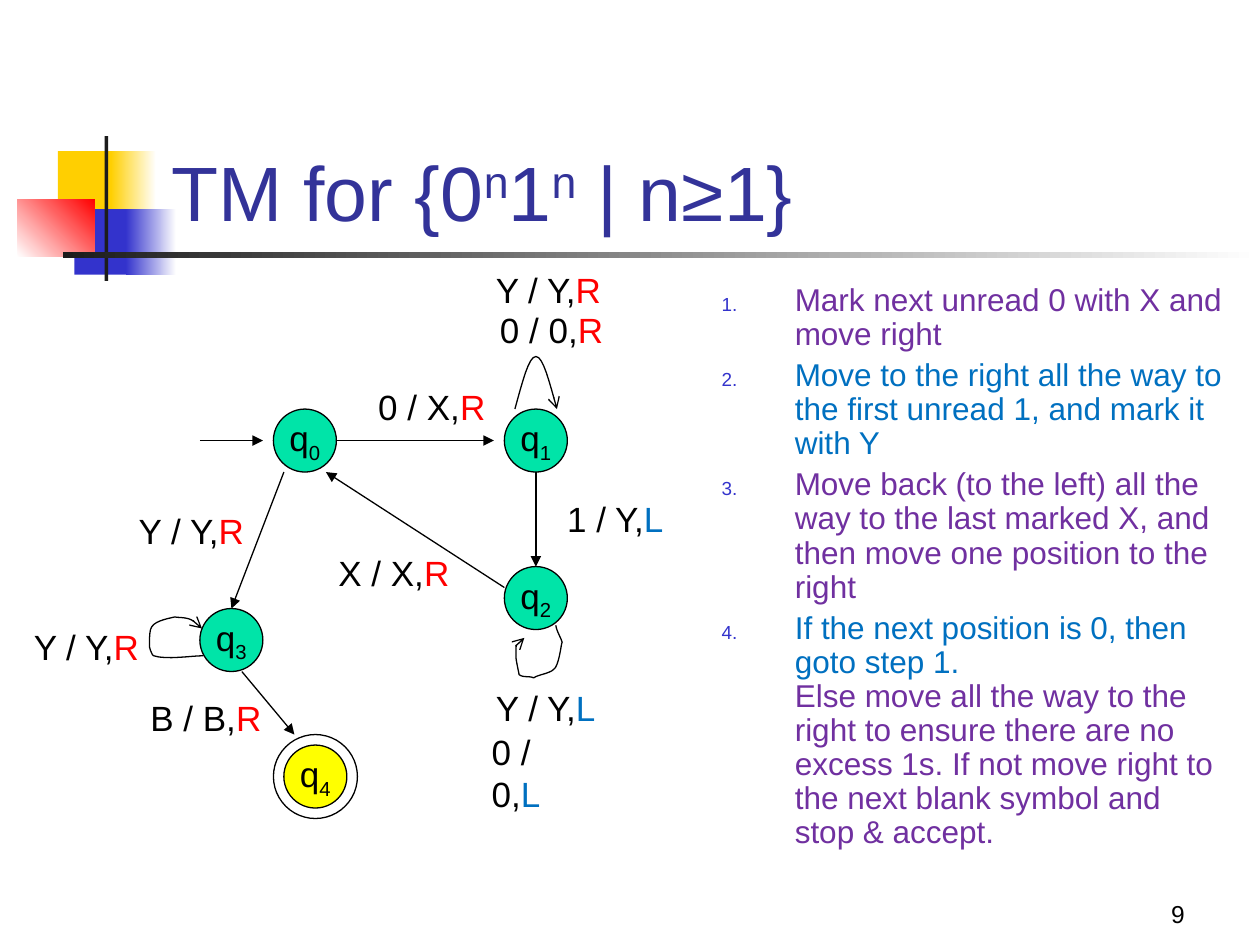
import pptx
import pptx.util
import pptx.dml.color
import pptx.enum.shapes
import pptx.enum.text
import pptx.oxml.ns
from lxml import etree

RGB = pptx.dml.color.RGBColor
SHAPE = pptx.enum.shapes.MSO_SHAPE
ANCHOR = pptx.enum.text.MSO_ANCHOR
ALIGN = pptx.enum.text.PP_ALIGN
qn = pptx.oxml.ns.qn

BLACK = RGB(0x00, 0x00, 0x00)
WHITE = RGB(0xFF, 0xFF, 0xFF)
INK = RGB(0x1C, 0x1C, 0x1C)
GOLD = RGB(0xFF, 0xCF, 0x01)
INDIGO = RGB(0x33, 0x33, 0xCC)
NAVY = RGB(0x33, 0x33, 0x99)
RED = RGB(0xFF, 0x00, 0x00)
BLUE = RGB(0x00, 0x70, 0xC0)
PURPLE = RGB(0x70, 0x30, 0xA0)
GREEN = RGB(0x00, 0xE4, 0xA8)
YELLOW = RGB(0xFF, 0xFF, 0x00)

CELL = 1 / 12
MOVE = {"R": RED, "L": BLUE}

STATES = [("0", 24, 14, GREEN), ("1", 46, 14, GREEN), ("2", 46, 29, GREEN),
          ("3", 17, 33, GREEN), ("4", 25, 46, YELLOW)]
ARROWS = [(17, 17, 23, 17), (30, 17, 45, 17), (49, 20, 49, 29),
          (46, 31, 29, 20), (25, 20, 20, 33), (21, 39, 26, 45)]
LABELS = [("0 / X,", "R", 32.8, 11.2, 12.6), ("Y / Y,", "R", 44, 0, 12.5),
          ("0 / 0,", "R", 44.4, 3.8, 12.2), ("1 / Y,", "L", 50.8, 21.8, 12.1),
          ("Y / Y,", "L", 44, 39.8, 12.4), ("0 / 0,", "L", 43.6, 44, 11.6),
          ("X / X,", "R", 29, 27, 13), ("Y / Y,", "R", 10, 23, 13),
          ("Y / Y,", "R", 0, 34, 13), ("B / B,", "R", 11.1, 40.8, 13)]
LOOPS = [
    [(47, 14), (47.7, 11.5), (48.3, 9), (49, 9), (49.7, 9), (50.3, 11.5), (51, 14)],
    [(50.9, 34.6), (51, 35.2), (51.3, 35.6), (51.5, 36.2), (51.4, 36.4), (51.2, 38.5),
     (50.7, 38.8), (50.3, 39.2), (49.2, 39.3), (48.8, 39.6), (48.3, 39.4), (47.8, 39.6),
     (47.4, 39.3), (47.4, 39.2), (47.1, 37.9), (47.1, 37.6), (47.1, 36.8), (47, 35.8),
     (47.9, 35.8)],
    [(17.3, 37.5), (16.2, 37.5), (13.8, 37.9), (12.6, 37.5), (12.4, 37.4), (12.2, 36.7),
     (12.2, 36.6), (12.2, 36), (12.2, 35.5), (12.3, 35), (12.5, 34.2), (13.8, 34),
     (14.6, 33.8), (15.2, 33.9), (15.8, 33.8), (16.4, 34.2), (16.5, 34.3), (16.5, 34.5),
     (16.7, 34.6), (16.8, 34.8), (17.2, 34.9), (17.2, 34.9)],
]
STEPS = [
    [("Mark next unread 0 with X and move right", PURPLE)],
    [("Move to the right all the way to the first unread 1, and mark it with Y", BLUE)],
    [("Move back (to the left) all the way to the last marked X, "
      "and then move one position to the right", PURPLE)],
    [("If the next position is 0, then goto step 1.", BLUE),
     ("Else move all the way to the right to ensure there are no excess 1s. "
      "If not move right to the next blank symbol and stop & accept.", PURPLE)],
]


def at(box, col, row):
    return (pptx.util.Inches(box[0] + col * CELL), pptx.util.Inches(box[1] + row * CELL))


def cells(n):
    return pptx.util.Inches(n * CELL)


def add_run(p, text, size, color, baseline=0):
    r = p.add_run()
    r.text = text
    r.font.name = "Arial"
    r.font.size = pptx.util.Pt(size)
    r.font.color.rgb = color
    if baseline:
        r._r.get_or_add_rPr().set("baseline", str(baseline * 1000))


def text_box(s, box, anchor=ANCHOR.TOP, wrap=True):
    tf = s.shapes.add_textbox(*map(pptx.util.Inches, box)).text_frame
    tf.word_wrap = wrap
    tf.vertical_anchor = anchor
    return tf


def outline(sp, head=None):
    sp.line.color.rgb = BLACK
    sp.line.width = pptx.util.Pt(0.75)
    if head:
        etree.SubElement(sp.line._get_or_add_ln(), qn("a:tailEnd"), type=head)


def add_shape(s, box, kind, col, row, w, h):
    sp = s.shapes.add_shape(kind, *at(box, col, row), cells(w), cells(h))
    sp.shadow.inherit = False
    return sp


def add_decoration(s, box):
    parts = [(3.84, 1.44, 5.76, 6.24, GOLD, None, 0),
             (8.88, 1.44, 4.32, 6.24, GOLD, WHITE, 0),
             (5.4, 6.96, 5.52, 6.24, INDIGO, None, 0),
             (10.32, 6.96, 4.8, 6.24, INDIGO, WHITE, 0),
             (0, 6, 7.32, 5.52, WHITE, RED, 45),
             (8.28, 0, 0.36, 13.8, INK, None, 0),
             (4.32, 11.04, 114, 0.6, INK, WHITE, 0)]
    for col, row, w, h, start, end, angle in parts:
        sp = add_shape(s, box, SHAPE.RECTANGLE, col, row, w, h)
        sp.line.fill.background()
        if end is None:
            sp.fill.solid()
            sp.fill.fore_color.rgb = start
            continue
        sp.fill.gradient()
        sp.fill.gradient_angle = angle
        for stop, color, position in zip(sp.fill.gradient_stops, (start, end), (0, 1)):
            stop.color.rgb = color
            stop.position = position


def add_title(s, box):
    p = text_box(s, box, ANCHOR.BOTTOM).paragraphs[0]
    for text, baseline in [("TM for {0", 0), ("n", 30), ("1", 0), ("n", 30), (" | n≥1}", 0)]:
        add_run(p, text, 44, NAVY, baseline)


def add_state(s, box, name, col, row, color):
    sp = add_shape(s, box, SHAPE.OVAL, col, row, 6, 6)
    sp.fill.solid()
    sp.fill.fore_color.rgb = color
    outline(sp)
    tf = sp.text_frame
    tf.word_wrap = False
    tf.vertical_anchor = ANCHOR.MIDDLE
    p = tf.paragraphs[0]
    p.alignment = ALIGN.CENTER
    add_run(p, "q", 20, BLACK)
    add_run(p, name, 20, BLACK, -25)


def add_loop(s, box, knots, steps=8):
    points = [at(box, *knots[0])]
    for i in range(0, len(knots) - 3, 3):
        for k in range(1, steps + 1):
            t = k / steps
            weights = ((1 - t) ** 3, 3 * t * (1 - t) ** 2, 3 * t * t * (1 - t), t ** 3)
            col, row = (sum(w * knot[axis] for w, knot in zip(weights, knots[i:i + 4]))
                        for axis in (0, 1))
            points.append(at(box, col, row))
    builder = s.shapes.build_freeform(*points[0])
    builder.add_line_segments(points[1:], close=False)
    sp = builder.convert_to_shape()
    sp.shadow.inherit = False
    sp.fill.background()
    outline(sp, "arrow")


def add_diagram(s, box):
    for state in STATES:
        add_state(s, box, *state)
    ring = add_shape(s, box, SHAPE.OVAL, 24, 45, 8, 8)
    ring.fill.background()
    outline(ring)
    for x1, y1, x2, y2 in ARROWS:
        line = s.shapes.add_connector(pptx.enum.shapes.MSO_CONNECTOR.STRAIGHT,
                                      *at(box, x1, y1), *at(box, x2, y2))
        outline(line, "triangle")
        etree.SubElement(line._element.spPr, qn("a:effectLst"))
    for knots in LOOPS:
        add_loop(s, box, knots)
    for text, move, col, row, w in LABELS:
        spot = (box[0] + col * CELL, box[1] + row * CELL, w * CELL, 0.43)
        tf = text_box(s, spot, wrap=False)
        tf.auto_size = pptx.enum.text.MSO_AUTO_SIZE.SHAPE_TO_FIT_TEXT
        add_run(tf.paragraphs[0], text, 20, BLACK)
        add_run(tf.paragraphs[0], move, 20, MOVE[move])


def add_steps(s, box):
    tf = text_box(s, box)
    indent = pptx.util.Inches(0.58)
    for i, parts in enumerate(STEPS):
        p = tf.add_paragraph() if i else tf.paragraphs[0]
        pPr = p._p.get_or_add_pPr()
        pPr.set("marL", str(indent))
        pPr.set("indent", str(-indent))
        color = etree.SubElement(pPr, qn("a:buClr"))
        etree.SubElement(color, qn("a:srgbClr"), val=str(INDIGO))
        etree.SubElement(pPr, qn("a:buSzPct"), val="60000")
        etree.SubElement(pPr, qn("a:buFont"), typeface="Arial")
        etree.SubElement(pPr, qn("a:buAutoNum"), type="arabicPeriod")
        p.line_spacing = 0.9
        p.space_before = pptx.util.Pt(4 if i else 0)
        for k, (text, ink) in enumerate(parts):
            if k:
                p.add_line_break()
            add_run(p, text, 18, ink)


def add_page_number(s, box):
    p = text_box(s, box, ANCHOR.BOTTOM).paragraphs[0]
    p.alignment = ALIGN.RIGHT
    add_run(p, "9", 14, BLACK)


def main():
    prs = pptx.Presentation()
    prs.slide_width, prs.slide_height = pptx.util.Inches(10), pptx.util.Inches(7.5)
    s = prs.slides.add_slide(prs.slide_layouts[6])
    add_decoration(s, (0.14, 1.08, 9.86, 1.15))
    add_page_number(s, (7.42, 6.92, 2.08, 0.5))
    add_title(s, (1.26, 0.68, 8.52, 1.25))
    add_diagram(s, (0.17, 2.08, 5.25, 4.42))
    add_steps(s, (5.63, 2.21, 4.17, 4.5))
    prs.save("out.pptx")


if __name__ == "__main__":
    main()
